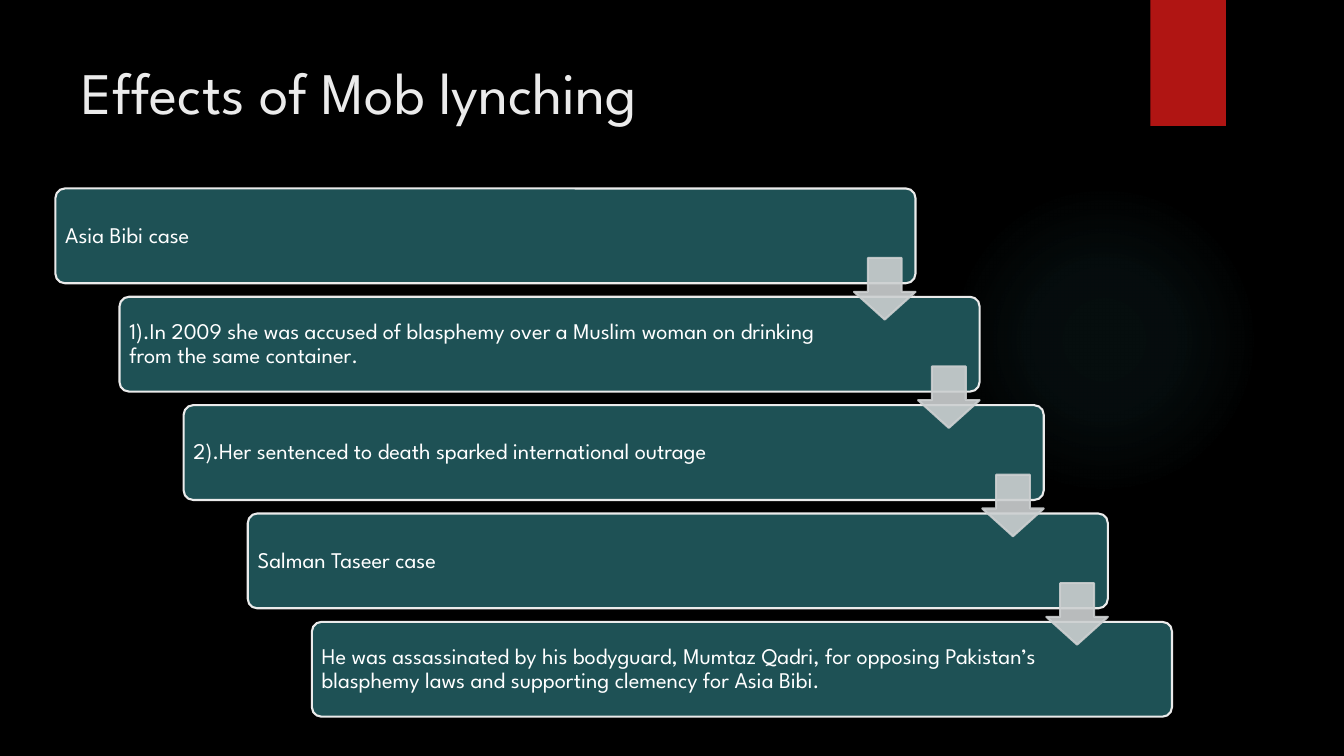
from lxml import etree
from pptx import Presentation
from pptx.dml.color import RGBColor
from pptx.enum.shapes import MSO_SHAPE
from pptx.enum.text import MSO_ANCHOR, PP_ALIGN
from pptx.oxml import parse_xml
from pptx.oxml.ns import qn
from pptx.util import Inches, Pt

RECTANGLE, ROUNDED = MSO_SHAPE.RECTANGLE, MSO_SHAPE.ROUNDED_RECTANGLE
OVAL, DOWN_ARROW = MSO_SHAPE.OVAL, MSO_SHAPE.DOWN_ARROW
TOP, MIDDLE, LEFT = MSO_ANCHOR.TOP, MSO_ANCHOR.MIDDLE, PP_ALIGN.LEFT

COLORS = {
    "background": "000000",
    "glow": "50B9C1",
    "ribbon": "B01513",
    "title": "EBEBEB",
    "card": "1E5155",
    "card_border": "EBEBEB",
    "card_text": "FFFFFF",
    "arrow": "CDD0D1",
}
FONT = "League Spartan"
LINE_WIDTH = 1.5
ARROW_OPACITY = 90

# Each step of the staircase moves one column right and one row down.
STAIR_LEFT, STAIR_TOP = 0.55, 1.87
COLUMN, ROW = 0.636, 1.075
CARD_WIDTH, CARD_HEIGHT = 8.53, 0.94
ARROW_SIZE = 0.61
ARROW_RIGHT_SHIFT, ARROW_DOWN_SHIFT = CARD_WIDTH - ARROW_SIZE, 0.69

TITLE_FRAME = {"vertical_anchor": TOP, "word_wrap": True}
CARD_FRAME = {
    "vertical_anchor": MIDDLE,
    "word_wrap": True,
    "margin_left": Inches(0.07),
    "margin_right": Inches(1.25),
    "margin_top": Inches(0.07),
    "margin_bottom": Inches(0.07),
}
STEPS = [
    "Asia Bibi case",
    "1).In 2009 she was accused of blasphemy over a Muslim woman on drinking from the same container.",
    "2).Her sentenced to death sparked international outrage",
    "Salman Taseer case",
    "He was assassinated by his bodyguard, Mumtaz Qadri, for opposing Pakistan’s blasphemy laws and supporting clemency for Asia Bibi.",
]


def rgb(name):
    return RGBColor.from_string(COLORS[name])


def add_block(slide, preset, box, fill, border=None, adjustments=()):
    block = slide.shapes.add_shape(preset, *map(Inches, box))
    block.shadow.inherit = False
    block.fill.solid()
    block.fill.fore_color.rgb = rgb(fill)
    if border:
        block.line.color.rgb = rgb(border)
        block.line.width = Pt(LINE_WIDTH)
    else:
        block.line.fill.background()
    for index, value in enumerate(adjustments):
        block.adjustments[index] = value
    return block


def write_text(holder, text, size, color, frame_format, line_spacing=1.0):
    frame = holder.text_frame
    for name, value in frame_format.items():
        setattr(frame, name, value)
    paragraph = frame.paragraphs[0]
    paragraph.text = text
    paragraph.alignment = LEFT
    paragraph.line_spacing = line_spacing
    for name, value in {"name": FONT, "size": Pt(size)}.items():
        setattr(paragraph.font, name, value)
    paragraph.font.color.rgb = rgb(color)


def add_glow(slide, box):
    """Draw a faint disc that fades out from its centre."""
    glow = add_block(slide, OVAL, box, "glow")
    stops = "".join(
        f'<a:gs pos="{position * 1000}"><a:srgbClr val="{COLORS["glow"]}">'
        f'<a:alpha val="{opacity * 1000}"/></a:srgbClr></a:gs>'
        for position, opacity in ((0, 7), (36, 6), (69, 0))
    )
    gradient = parse_xml(
        '<a:gradFill xmlns:a="http://schemas.openxmlformats.org/drawingml/2006/main">'
        f'<a:gsLst>{stops}</a:gsLst><a:path path="circle">'
        '<a:fillToRect l="50000" t="50000" r="50000" b="50000"/></a:path></a:gradFill>'
    )
    properties = glow.element.spPr
    properties.replace(properties.find(qn("a:solidFill")), gradient)


def add_card(slide, step, text):
    box = (STAIR_LEFT + step * COLUMN, STAIR_TOP + step * ROW, CARD_WIDTH, CARD_HEIGHT)
    card = add_block(slide, ROUNDED, box, "card", "card_border", [0.1])
    write_text(card, text, 16, "card_text", CARD_FRAME, 0.9)


def add_step_arrow(slide, step):
    left = STAIR_LEFT + step * COLUMN + ARROW_RIGHT_SHIFT
    top = STAIR_TOP + step * ROW + ARROW_DOWN_SHIFT
    box = (left, top, ARROW_SIZE, ARROW_SIZE)
    arrow = add_block(slide, DOWN_ARROW, box, "arrow", "arrow", [0.55, 0.45])
    for color in arrow.element.spPr.iter(qn("a:srgbClr")):
        etree.SubElement(color, qn("a:alpha"), val=str(ARROW_OPACITY * 1000))


def main():
    presentation = Presentation()
    presentation.slide_width, presentation.slide_height = Inches(13.33), Inches(7.5)
    slide = presentation.slides.add_slide(presentation.slide_layouts[6])
    slide.background.fill.solid()
    slide.background.fill.fore_color.rgb = rgb("background")

    add_glow(slide, (9.41, 1.83, 3.08, 3.08))
    add_block(slide, RECTANGLE, (11.41, 0, 0.75, 1.25), "ribbon")
    title = slide.shapes.add_textbox(*map(Inches, (0.71, 0.5, 10.29, 1.05)))
    write_text(title, "Effects of Mob lynching", 42, "title", TITLE_FRAME)

    for step, text in enumerate(STEPS):
        add_card(slide, step, text)
    for step in range(len(STEPS) - 1):
        add_step_arrow(slide, step)

    presentation.save("out.pptx")


if __name__ == "__main__":
    main()
